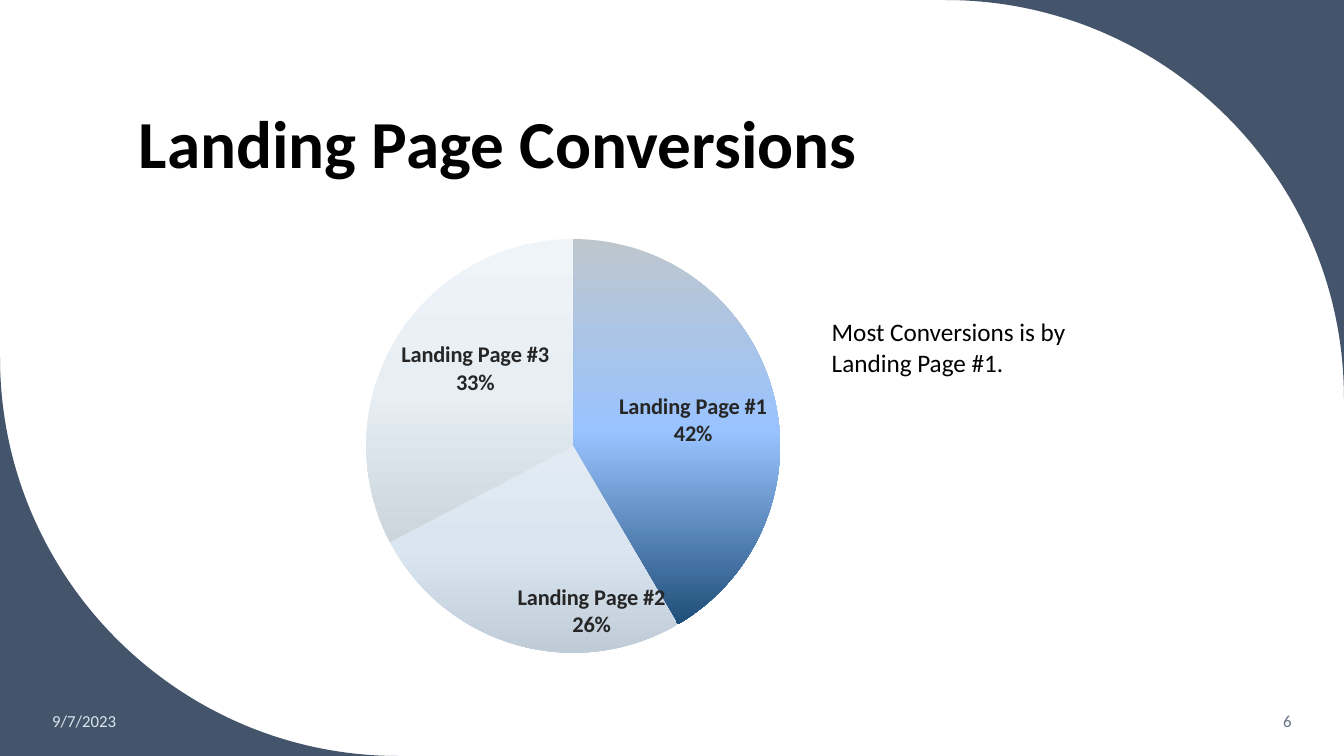
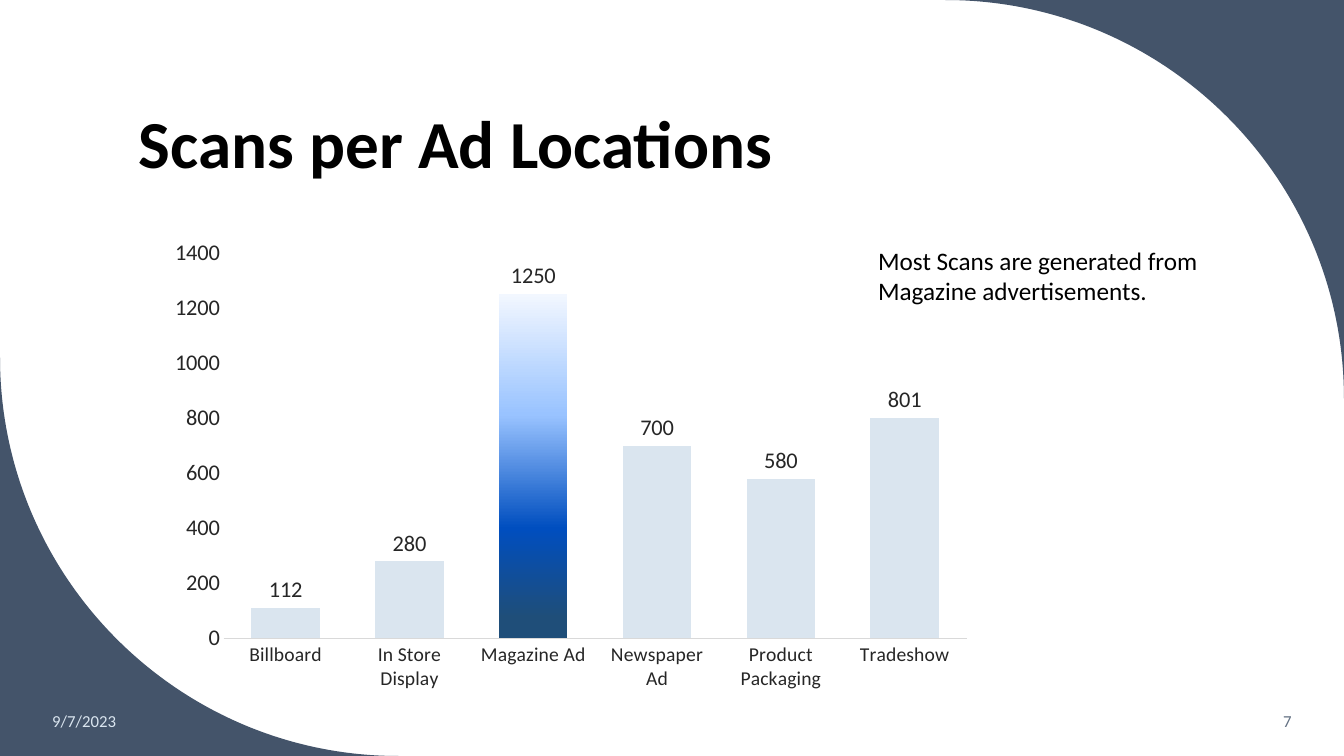
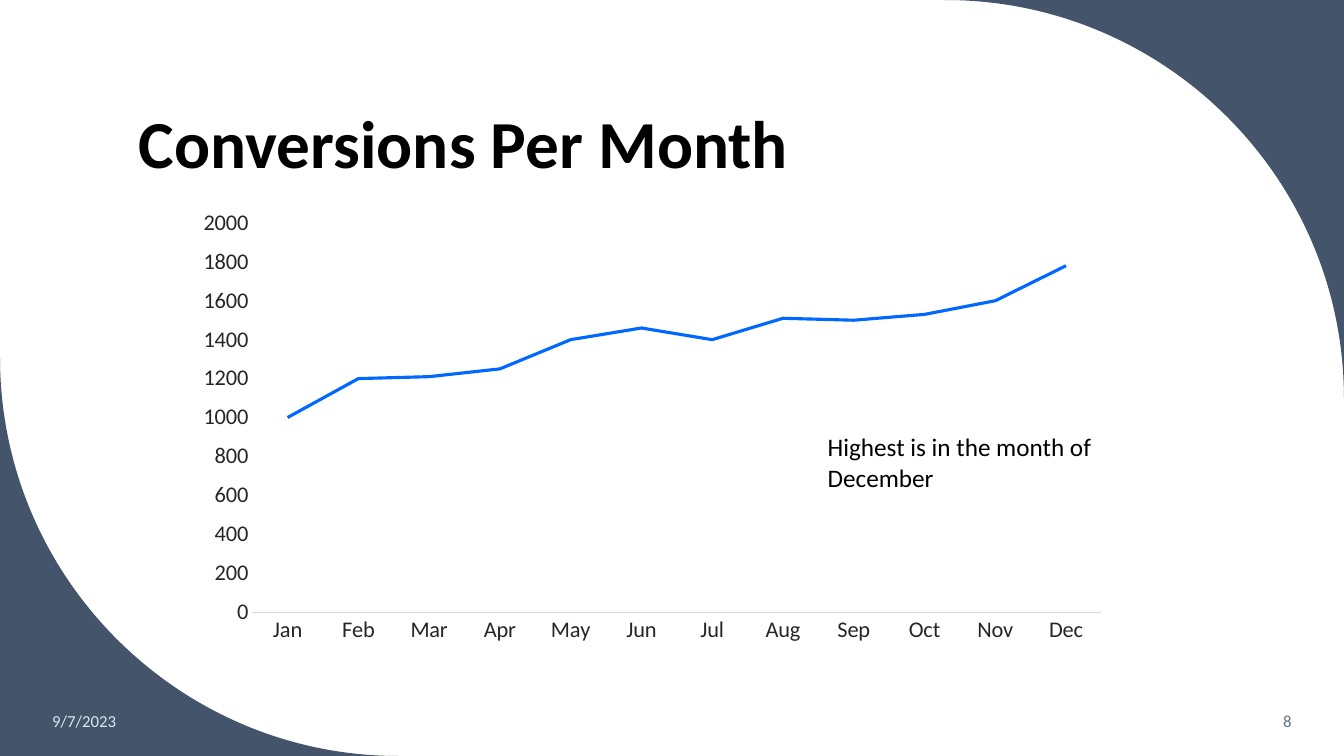
from copy import deepcopy

from lxml.etree import SubElement
from pptx import Presentation
from pptx.chart.data import CategoryChartData
from pptx.dml.color import RGBColor
from pptx.enum.chart import XL_CHART_TYPE, XL_LABEL_POSITION, XL_TICK_MARK
from pptx.enum.text import MSO_ANCHOR, MSO_AUTO_SIZE, PP_ALIGN
from pptx.oxml.ns import qn
from pptx.util import Pt

PX = 6096
WIDTH, HEIGHT = 2000, 1125
CORNER = 593
CURVE = 327
FONT = "Calibri"

BLACK = RGBColor(0x00, 0x00, 0x00)
SLATE = RGBColor(0x44, 0x54, 0x6A)
MIST = RGBColor(0xDA, 0xE5, 0xEF)
STEEL = RGBColor(0x63, 0x71, 0x83)
CHARCOAL = RGBColor(0x26, 0x26, 0x26)
SILVER = RGBColor(0xD9, 0xD9, 0xD9)
AZURE = RGBColor(0x00, 0x68, 0xFF)
SKY = RGBColor(0x99, 0xC3, 0xFF)
COBALT = RGBColor(0x00, 0x4E, 0xBF)
NAVY = RGBColor(0x1F, 0x4E, 0x79)
ICE = RGBColor(0xF2, 0xF7, 0xFF)
ASH = RGBColor(0xBE, 0xC6, 0xCD)

SLICE_GRADIENTS = [
    [(0, ASH), (50, SKY), (100, NAVY)],
    [(0, RGBColor(0xE2, 0xEB, 0xF3)), (50, RGBColor(0xD9, 0xE5, 0xF0)),
     (100, RGBColor(0xBF, 0xCC, 0xD7))],
    [(0, RGBColor(0xEF, 0xF4, 0xF8)), (50, RGBColor(0xE7, 0xEF, 0xF5)),
     (100, RGBColor(0xCC, 0xD4, 0xDC))],
]
MAGAZINE_GRADIENT = [(0, ICE), (35, SKY), (68, COBALT), (94, NAVY)]


def set_font(font, size, color, bold=False):
    font.name = FONT
    font.size = Pt(size)
    font.color.rgb = color
    font.bold = bold


def fill_gradient(fill, colors):
    fill.gradient()
    fill.gradient_angle = 270
    first = fill.gradient_stops[0]._gs
    for _ in colors[2:]:
        first.addnext(deepcopy(first))
    for stop, (percent, color) in zip(fill.gradient_stops, colors):
        stop.position = percent / 100
        stop.color.rgb = color


class Deck:
    def __init__(self):
        self.presentation = Presentation()
        self.presentation.slide_width = WIDTH * PX
        self.presentation.slide_height = HEIGHT * PX
        self.slide = None

    def start(self, title, number):
        layout = self.presentation.slide_layouts[6]
        self.slide = self.presentation.slides.add_slide(layout)
        self.corner(WIDTH, 0, 1)
        self.corner(0, HEIGHT, -1)
        self.text(title, 192, 63, 1604, 217, size=48, bold=True,
                  anchor=MSO_ANCHOR.BOTTOM, line_spacing=0.9)
        self.text("9/7/2023", 63, 1043, 279, 60, size=12, color=MIST,
                  anchor=MSO_ANCHOR.MIDDLE)
        self.text(str(number), 1665, 1043, 272, 60, size=12, color=STEEL,
                  anchor=MSO_ANCHOR.MIDDLE, align=PP_ALIGN.RIGHT)

    def corner(self, x, y, side):
        builder = self.slide.shapes.build_freeform(x, y, scale=PX)
        builder.add_line_segments(
            [(x - side * CORNER, y), (x, y + side * CORNER)], close=True)
        band = builder.convert_to_shape()
        band.shadow.inherit = False
        band.fill.solid()
        band.fill.fore_color.rgb = SLATE
        band.line.fill.background()
        edge = list(band._element.iter(qn("a:lnTo")))[-1]
        curve = SubElement(edge.getparent(), qn("a:cubicBezTo"))
        controls = [(CURVE, 0), (CORNER, CORNER - CURVE), (CORNER, CORNER)]
        for across, down in controls:
            if side < 0:
                across, down = CORNER - across, CORNER - down
            SubElement(curve, qn("a:pt"), x=str(across), y=str(down))
        edge.getparent().replace(edge, curve)

    def text(self, words, x, y, width, height, size=18, color=BLACK,
             bold=False, anchor=MSO_ANCHOR.TOP, align=PP_ALIGN.LEFT,
             line_spacing=None, grow=False):
        box = self.slide.shapes.add_textbox(
            x * PX, y * PX, width * PX, height * PX)
        frame = box.text_frame
        frame.word_wrap = True
        frame.vertical_anchor = anchor
        if grow:
            frame.auto_size = MSO_AUTO_SIZE.SHAPE_TO_FIT_TEXT
        paragraph = frame.paragraphs[0]
        paragraph.alignment = align
        paragraph.line_spacing = line_spacing
        run = paragraph.add_run()
        run.text = words
        set_font(run.font, size, color, bold)

    def note(self, words, x, y, width):
        self.text(words, x, y, width, 106, grow=True)

    def chart(self, kind, values, x, y, width, height):
        data = CategoryChartData()
        data.categories = list(values)
        data.add_series("Series 1", list(values.values()))
        chart = self.slide.shapes.add_chart(
            kind, x * PX, y * PX, width * PX, height * PX, data).chart
        chart.has_title = False
        chart.has_legend = False
        set_font(chart.font, 16, CHARCOAL)
        return chart

    def axes(self, chart, maximum, category_size=16):
        category, value = chart.category_axis, chart.value_axis
        for axis, size in ((category, category_size), (value, 16)):
            axis.has_major_gridlines = False
            axis.major_tick_mark = XL_TICK_MARK.NONE
            axis.minor_tick_mark = XL_TICK_MARK.NONE
            set_font(axis.tick_labels.font, size, CHARCOAL)
        category.format.line.color.rgb = SILVER
        category.format.line.width = Pt(0.75)
        value.format.line.fill.background()
        value.minimum_scale = 0
        value.maximum_scale = maximum
        value.major_unit = 200

    def labels(self, series, position, bold=False):
        labels = series.data_labels
        labels.position = position
        labels.show_value = True
        set_font(labels.font, 16, CHARCOAL, bold)
        return labels

    def pie(self, values, gradients, *place):
        chart = self.chart(XL_CHART_TYPE.PIE, values, *place)
        chart.plots[0].vary_by_categories = True
        series = chart.plots[0].series[0]
        for index, colors in enumerate(gradients):
            slice_format = series.points[index].format
            fill_gradient(slice_format.fill, colors)
            slice_format.line.fill.background()
        labels = self.labels(series, XL_LABEL_POSITION.INSIDE_END, bold=True)
        labels.show_value = False
        labels.show_category_name = True
        labels.show_percentage = True
        element = labels._element
        separator = SubElement(element, qn("c:separator"))
        separator.text = "\n"
        element.find(qn("c:showBubbleSize")).addnext(separator)

    def columns(self, values, highlight, colors, maximum, *place):
        chart = self.chart(XL_CHART_TYPE.COLUMN_CLUSTERED, values, *place)
        self.axes(chart, maximum, category_size=14)
        plot = chart.plots[0]
        plot.vary_by_categories = False
        plot.gap_width = 81
        plot.overlap = -27
        series = plot.series[0]
        series.format.fill.solid()
        series.format.fill.fore_color.rgb = MIST
        point = series.points[list(values).index(highlight)]
        fill_gradient(point.format.fill, colors)
        self.labels(series, XL_LABEL_POSITION.OUTSIDE_END)

    def line(self, values, maximum, *place):
        chart = self.chart(XL_CHART_TYPE.LINE, values, *place)
        self.axes(chart, maximum)
        chart.plots[0].vary_by_categories = False
        series = chart.plots[0].series[0]
        series.smooth = False
        series.format.line.color.rgb = AZURE
        series.format.line.width = Pt(2.25)


def main():
    deck = Deck()

    deck.start("Landing Page Conversions", 6)
    conversions = {"Landing Page #1": 42, "Landing Page #2": 26,
                   "Landing Page #3": 33}
    deck.pie(conversions, SLICE_GRADIENTS, 207, 335, 1292, 657)
    deck.note("Most Conversions is by Landing Page #1.", 1223, 464, 501)

    deck.start("Scans per Ad Locations", 7)
    scans = {"Billboard": 112, "In Store Display": 280, "Magazine Ad": 1250,
             "Newspaper Ad": 700, "Product Packaging": 580, "Tradeshow": 801}
    deck.note("Most Scans are generated from Magazine advertisements.",
              1292, 358, 545)
    deck.columns(scans, "Magazine Ad", MAGAZINE_GRADIENT, 1400,
                 236, 342, 1227, 700)

    deck.start("Conversions Per Month", 8)
    monthly = {"Jan": 1000, "Feb": 1200, "Mar": 1210, "Apr": 1250,
               "May": 1400, "Jun": 1460, "Jul": 1400, "Aug": 1510,
               "Sep": 1500, "Oct": 1530, "Nov": 1600, "Dec": 1780}
    deck.line(monthly, 2000, 275, 298, 1392, 673)
    deck.note("Highest is in the month of December", 1217, 635, 450)

    deck.presentation.save("out.pptx")


if __name__ == "__main__":
    main()
